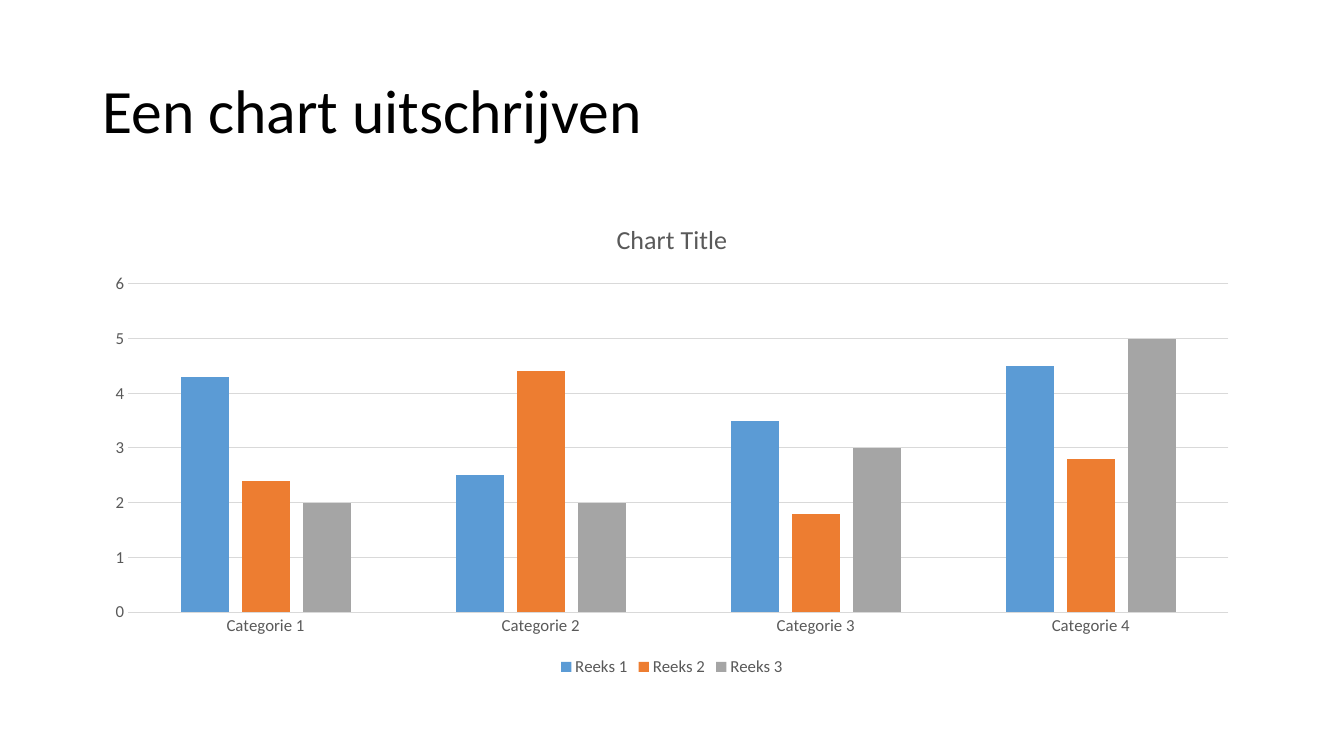
from pptx import Presentation
from pptx.chart.data import CategoryChartData
from pptx.dml.color import RGBColor
from pptx.enum.chart import XL_CHART_TYPE, XL_LEGEND_POSITION, XL_TICK_MARK
from pptx.enum.text import MSO_ANCHOR, PP_ALIGN
from pptx.util import Pt

COLUMNS = XL_CHART_TYPE.COLUMN_CLUSTERED
BOTTOM = XL_LEGEND_POSITION.BOTTOM
NO_TICK = XL_TICK_MARK.NONE
MIDDLE = MSO_ANCHOR.MIDDLE
LEFT, CENTER = PP_ALIGN.LEFT, PP_ALIGN.CENTER

FONT = "Calibri"
COLORS = {"title": "000000", "label": "595959", "grid": "D9D9D9"}
MARGIN, WIDTH = 66, 828

CATEGORIES = [f"Categorie {n}" for n in range(1, 5)]
SERIES = [
    ("Reeks 1", (4.3, 2.5, 3.5, 4.5), "5B9BD5"),
    ("Reeks 2", (2.4, 4.4, 1.8, 2.8), "ED7D31"),
    ("Reeks 3", (2, 2, 3, 5), "A5A5A5"),
]


def style_font(font, size, color):
    font.name = FONT
    font.size = Pt(size)
    font.bold = False
    font.color.rgb = RGBColor.from_string(color)


def write_text(tf, text, size=12, color=COLORS["label"], align=LEFT, spacing=None):
    p = tf.paragraphs[0]
    p.alignment = align
    if spacing:
        p.line_spacing = spacing
    r = p.add_run()
    r.text = text
    style_font(r.font, size, color)


def style_line(line):
    line.color.rgb = RGBColor.from_string(COLORS["grid"])
    line.width = Pt(0.75)


def add_title(s, text):
    sp = s.shapes.title
    sp.left, sp.top, sp.width, sp.height = Pt(MARGIN), Pt(28.75), Pt(WIDTH), Pt(104.4)
    sp.text_frame.vertical_anchor = MIDDLE
    write_text(sp.text_frame, text, size=44, color=COLORS["title"], spacing=0.9)


def style_axis(axis):
    axis.major_tick_mark = axis.minor_tick_mark = NO_TICK
    style_font(axis.tick_labels.font, 12, COLORS["label"])


def add_column_chart(s, title):
    data = CategoryChartData()
    data.categories = CATEGORIES
    for name, values, _ in SERIES:
        data.add_series(name, values)
    chart = s.shapes.add_chart(
        COLUMNS, Pt(MARGIN), Pt(143.75), Pt(WIDTH), Pt(342.6), data).chart
    style_font(chart.font, 10, COLORS["title"])

    # Title and legend
    chart.has_title = True
    write_text(chart.chart_title.text_frame, title, size=18.6, align=CENTER)
    chart.chart_title.include_in_layout = False
    chart.has_legend = True
    chart.legend.position = BOTTOM
    chart.legend.include_in_layout = False
    style_font(chart.legend.font, 12, COLORS["label"])

    # Axes
    cat_axis, val_axis = chart.category_axis, chart.value_axis
    for axis in (cat_axis, val_axis):
        style_axis(axis)
    style_line(cat_axis.format.line)
    val_axis.format.line.fill.background()
    style_line(val_axis.major_gridlines.format.line)
    val_axis.minimum_scale, val_axis.maximum_scale, val_axis.major_unit = 0, 6, 1

    # Columns
    plot = chart.plots[0]
    plot.vary_by_categories = False
    plot.gap_width, plot.overlap = 219, -27
    for series, (_, _, color) in zip(plot.series, SERIES):
        series.format.fill.solid()
        series.format.fill.fore_color.rgb = RGBColor.from_string(color)


def main():
    prs = Presentation()
    prs.slide_width, prs.slide_height = Pt(960), Pt(540)
    s = prs.slides.add_slide(prs.slide_layouts[5])
    add_title(s, "Een chart uitschrijven")
    add_column_chart(s, "Chart Title")
    prs.save("out.pptx")


main()
